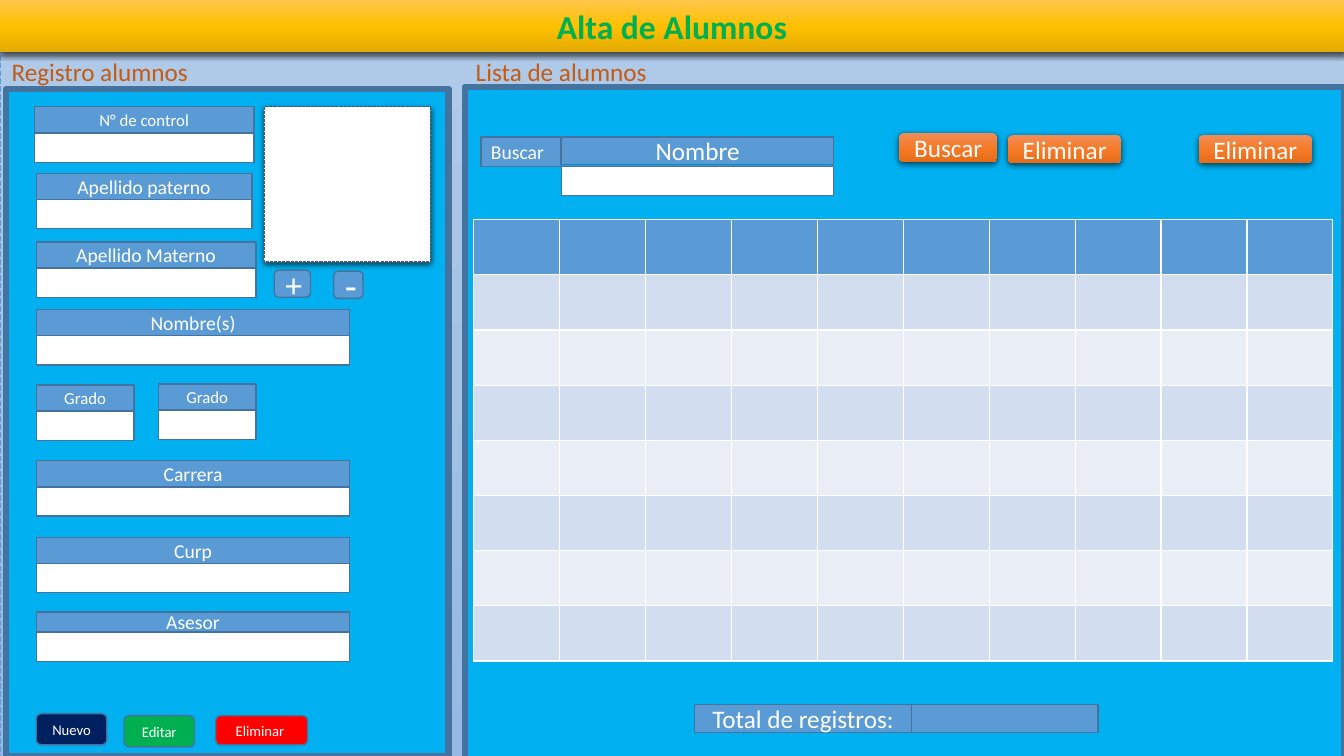
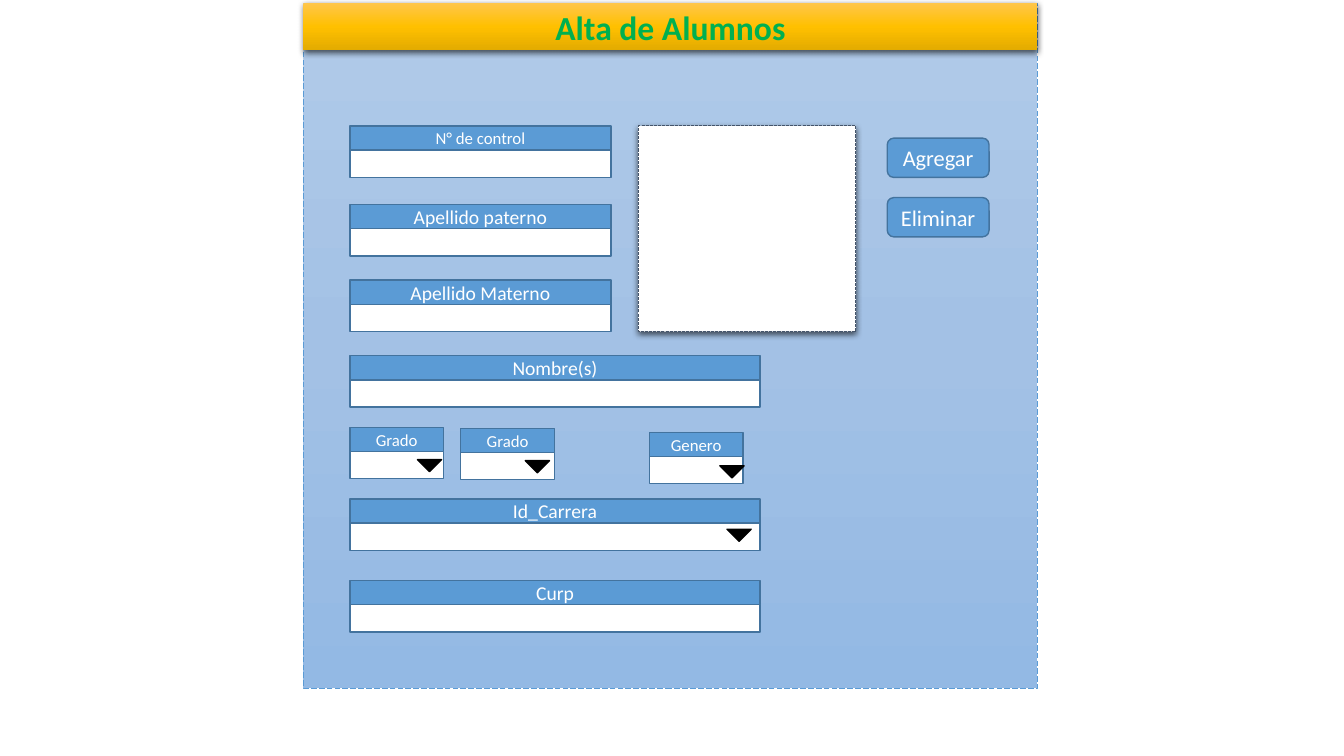
import pptx
import pptx.util
import pptx.dml.color
import pptx.enum.dml
import pptx.enum.shapes
import pptx.enum.text
import pptx.oxml
import pptx.oxml.ns

Inches = pptx.util.Inches
SHAPE = pptx.enum.shapes.MSO_SHAPE
DASH = pptx.enum.dml.MSO_LINE
ALIGN = pptx.enum.text.PP_ALIGN

# Shared style
FONT = "Calibri"
COLORS = {
    "white": "FFFFFF", "black": "000000", "blue": "5B9BD5", "edge": "43739E",
    "panel": "00B0F0", "frame": "44546A", "green": "00B050", "navy": "002060",
    "red": "FF0000", "rust": "C55A11", "band_dark": "D2DEEF", "band_light": "EAEFF7",
}
GRADIENTS = {
    "backdrop": ("B1CBE9", "A3C1E5", "93B9E4"),
    "gold": ("FFC64B", "FFC000", "E3AB00"),
    "orange": ("F18C57", "F67B28", "E56C19"),
}
TITLE = "Alta de Alumnos"

# Slide 1: registration form and student list
REGISTER_FIELDS = [  # label, left, top, width, text size, label height
    ("N° de control", 0.34, 1.06, 2.18, 12, 0.26),
    ("Apellido paterno", 0.36, 1.72, 2.14, 14, 0.26),
    ("Apellido Materno", 0.36, 2.4, 2.18, 14, 0.26),
    ("Nombre(s)", 0.36, 3.07, 3.11, 14, 0.26),
    ("Grado", 0.36, 3.82, 0.97, 12, 0.26),
    ("Grado", 1.57, 3.81, 0.97, 12, 0.26),
    ("Carrera", 0.36, 4.57, 3.11, 14, 0.26),
    ("Curp", 0.36, 5.33, 3.11, 14, 0.26),
    ("Asesor", 0.36, 6.07, 3.11, 14, 0.2),
]
REGISTER_BUTTONS = [  # label, box, fill, text size
    ("+", (2.72, 2.68, 0.36, 0.27), "blue", 24),
    ("-", (3.31, 2.69, 0.29, 0.27), "blue", 28),
    ("Nuevo", (0.36, 7.08, 0.7, 0.31), "navy", 10.5),
    ("Editar", (1.23, 7.1, 0.7, 0.31), "green", 10.5),
    ("Eliminar ", (2.14, 7.1, 0.91, 0.29), "red", 10.5),
]
LIST_BUTTONS = [
    ("Buscar", (8.92, 1.32, 0.97, 0.29)),
    ("Eliminar", (10, 1.34, 1.12, 0.28)),
    ("Eliminar", (11.89, 1.34, 1.12, 0.28)),
]
HEADINGS = [
    ("Registro alumnos", -0.64, ALIGN.CENTER),
    ("Lista de alumnos", 4.62, ALIGN.LEFT),
]
PANELS = [(0.06, 0.88, 4.39, 6.62), (4.61, 0.86, 8.72, 6.68)]
TABLE_BOX, TABLE_ROWS, TABLE_COLUMNS = (4.7, 2.18, 8.52, 4.38), 8, 10

# Slide 2: entry form
ENTRY_FIELDS = [
    ("N° de control", 3.47, 1.25, 2.59, 12, 0.24),
    ("Apellido paterno", 3.47, 2.03, 2.59, 14, 0.24),
    ("Apellido Materno", 3.47, 2.78, 2.59, 14, 0.24),
    ("Nombre(s)", 3.47, 3.53, 4.07, 14, 0.24),
    ("Grado", 3.47, 4.24, 0.93, 12, 0.24),
    ("Grado", 4.57, 4.25, 0.93, 12, 0.24),
    ("Id_Carrera", 3.47, 4.95, 4.07, 14, 0.24),
    ("Curp", 3.47, 5.76, 4.07, 14, 0.24),
    ("Genero", 6.44, 4.29, 0.93, 12, 0.24),
]
ENTRY_BUTTONS = [
    ("Agregar", (8.8, 1.37, 1.01, 0.39), "blue", 16),
    ("Eliminar", (8.8, 1.96, 1.01, 0.39), "blue", 16),
]
DROPDOWN_ARROWS = [(4.14, 4.56), (5.21, 4.57), (7.14, 4.62), (7.21, 5.25)]


def rgb(name):
    return pptx.dml.color.RGBColor.from_string(COLORS[name])


def write(shape, text, size, color="white", align=ALIGN.CENTER, bold=False):
    frame = shape.text_frame
    frame.word_wrap = True
    frame.vertical_anchor = pptx.enum.text.MSO_ANCHOR.MIDDLE
    paragraph = frame.paragraphs[0]
    paragraph.alignment = align
    run = paragraph.add_run()
    run.text = text
    run.font.name, run.font.size, run.font.bold = FONT, pptx.util.Pt(size), bold
    run.font.color.rgb = rgb(color)


def paint_gradient(shape, name):
    shape.fill.gradient()
    shape.fill.gradient_angle = 270
    stops = shape._element.spPr.find(".//" + pptx.oxml.ns.qn("a:gsLst"))
    for stop in list(stops):
        stops.remove(stop)
    for position, color in zip((0, 50000, 100000), GRADIENTS[name]):
        stops.append(pptx.oxml.parse_xml(
            f'<a:gs {pptx.oxml.ns.nsdecls("a")} pos="{position}">'
            f'<a:srgbClr val="{color}"/></a:gs>'))


def add_shadow(shape):
    effects = shape._element.spPr.find(pptx.oxml.ns.qn("a:effectLst"))
    effects.append(pptx.oxml.parse_xml(
        f'<a:outerShdw {pptx.oxml.ns.nsdecls("a")} blurRad="57150" dist="19050" '
        'dir="5400000" algn="ctr" rotWithShape="0"><a:srgbClr val="000000">'
        '<a:alpha val="63000"/></a:srgbClr></a:outerShdw>'))


def add_box(slide, box, fill, line="edge", width=1, dash=None, kind=SHAPE.RECTANGLE, shadow=False):
    shape = slide.shapes.add_shape(kind, *map(Inches, box))
    shape.shadow.inherit = False
    if fill in GRADIENTS:
        paint_gradient(shape, fill)
    else:
        shape.fill.solid()
        shape.fill.fore_color.rgb = rgb(fill)
    if line:
        shape.line.color.rgb = rgb(line)
        shape.line.width = pptx.util.Pt(width)
        if dash:
            shape.line.dash_style = dash
    else:
        shape.line.fill.background()
    if shadow:
        add_shadow(shape)
    return shape


def add_window(slide, box, band_height):
    left, top, width, height = box
    add_box(slide, box, "backdrop", "blue", 0.5, DASH.LONG_DASH)
    band = add_box(slide, (left, top, width, band_height), "gold", None, shadow=True)
    write(band, TITLE, 24, "green", bold=True)


def add_fields(slide, fields, input_height):
    for label, left, top, width, size, label_height in fields:
        write(add_box(slide, (left, top, width, label_height), "blue"), label, size)
        add_box(slide, (left, top + label_height, width, input_height), "white")


def add_photo_frame(slide, box):
    add_box(slide, box, "white", "frame", 0.75, DASH.SQUARE_DOT, shadow=True)


def add_buttons(slide, buttons):
    for label, box, fill, size in buttons:
        button = add_box(slide, box, fill, kind=SHAPE.ROUNDED_RECTANGLE)
        write(button, label, size)


presentation = pptx.Presentation()
presentation.slide_width, presentation.slide_height = Inches(13.33), Inches(7.5)
blank = presentation.slide_layouts[6]

# Slide 1: left panel
slide = presentation.slides.add_slide(blank)
add_window(slide, (0, 0, 13.33, 7.5), 0.52)
for panel in PANELS:
    add_box(slide, panel, "panel", width=4.5)
add_fields(slide, REGISTER_FIELDS, 0.29)
add_photo_frame(slide, (2.62, 1.06, 1.65, 1.54))
add_buttons(slide, REGISTER_BUTTONS)
for heading, left, align in HEADINGS:
    text_box = slide.shapes.add_textbox(*map(Inches, (left, 0.55, 3.26, 0.32)))
    write(text_box, heading, 18, "rust", align)

# Slide 1: search row
write(add_box(slide, (4.77, 1.36, 0.79, 0.29), "blue"), "Buscar", 14, align=ALIGN.LEFT)
add_box(slide, (5.57, 1.65, 2.7, 0.29), "white")
write(add_box(slide, (5.57, 1.36, 2.7, 0.27), "blue"), "Nombre", 18)
for label, box in LIST_BUTTONS:
    button = add_box(slide, box, "orange", None, kind=SHAPE.ROUNDED_RECTANGLE, shadow=True)
    write(button, label, 18)

# Slide 1: student table and total
table = slide.shapes.add_table(TABLE_ROWS, TABLE_COLUMNS, *map(Inches, TABLE_BOX)).table
for row_index, row in enumerate(table.rows):
    band = "band_dark" if row_index % 2 else "band_light"
    for cell in row.cells:
        cell.fill.solid()
        cell.fill.fore_color.rgb = rgb(band if row_index else "blue")
add_box(slide, (9.04, 6.99, 1.85, 0.28), "blue")
write(add_box(slide, (6.89, 6.99, 2.15, 0.28), "blue"), "Total de registros:", 18)

# Slide 2
slide = presentation.slides.add_slide(blank)
add_window(slide, (3.01, 0.03, 7.28, 6.8), 0.47)
add_fields(slide, ENTRY_FIELDS, 0.27)
add_photo_frame(slide, (6.33, 1.25, 2.16, 2.04))
add_buttons(slide, ENTRY_BUTTONS)
for left, top in DROPDOWN_ARROWS:
    arrow = add_box(slide, (left, top, 0.24, 0.12), "black", "black",
                    kind=SHAPE.ISOSCELES_TRIANGLE)
    arrow.rotation = 180

presentation.save("out.pptx")
